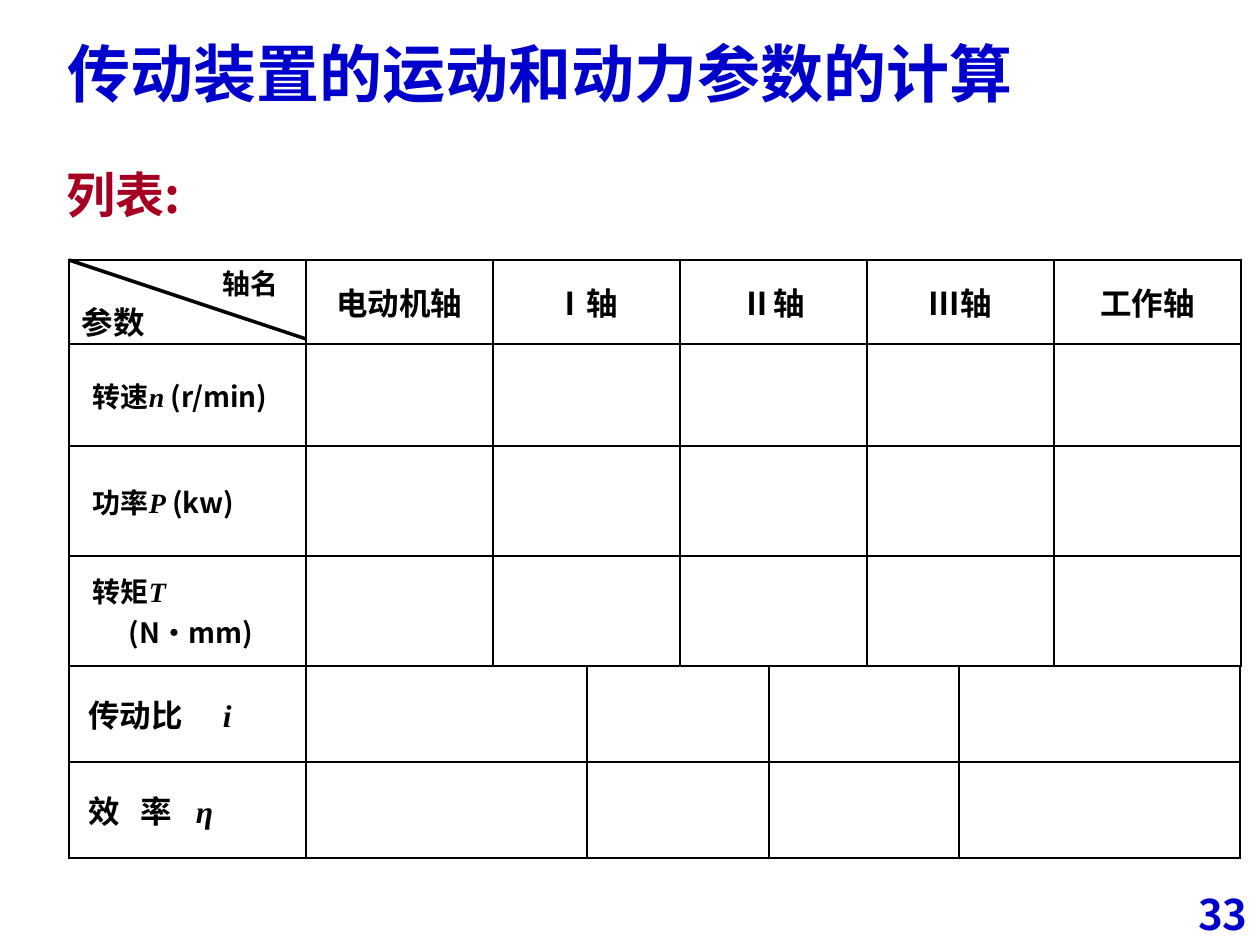
from lxml import etree
from pptx import Presentation
from pptx.dml.color import RGBColor
from pptx.enum.shapes import MSO_CONNECTOR
from pptx.enum.text import MSO_ANCHOR, MSO_AUTO_SIZE, PP_ALIGN
from pptx.oxml.ns import qn
from pptx.util import Pt

EMU_PER_PX = 914400 / 126
SANS, SERIF = "Noto Sans CJK SC", "Times New Roman"
BLUE, RED, BLACK, WHITE = "0000CC", "A50021", "000000", "FFFFFF"
LEFT, CENTER, RIGHT = PP_ALIGN.LEFT, PP_ALIGN.CENTER, PP_ALIGN.RIGHT
MIDDLE, TOP, BOTTOM = MSO_ANCHOR.MIDDLE, MSO_ANCHOR.TOP, MSO_ANCHOR.BOTTOM
NO_AUTOFIT = MSO_AUTO_SIZE.NONE
STRAIGHT = MSO_CONNECTOR.STRAIGHT


def px(length):
    return round(length * EMU_PER_PX)


def rgb(color):
    return RGBColor.from_string(color)


def style_run(run, size, color=BLACK, font=SANS, italic=False):
    run.font.size = Pt(size)
    run.font.bold = True
    run.font.italic = italic
    run.font.color.rgb = rgb(color)
    run.font.name = font
    etree.SubElement(run._r.get_or_add_rPr(), qn("a:ea"), typeface=font)


def write(paragraph, text, size, color=BLACK, align=LEFT):
    paragraph.text = text
    paragraph.alignment = align
    for run in paragraph.runs:
        style_run(run, size, color)


def write_quantity(paragraph, name, symbol, unit, size):
    for text, is_symbol in ((name, False), (symbol, True), (unit, False)):
        if text:
            run = paragraph.add_run()
            run.text = text
            style_run(run, size, font=SERIF if is_symbol else SANS,
                      italic=is_symbol)


def set_frame(frame, anchor):
    frame.word_wrap = True
    frame.auto_size = NO_AUTOFIT
    frame.vertical_anchor = anchor


def add_title(slide, left, top, width, height):
    title = slide.shapes.title
    title.left, title.top = px(left), px(top)
    title.width, title.height = px(width), px(height)
    set_frame(title.text_frame, BOTTOM)
    paragraph = title.text_frame.paragraphs[0]
    write(paragraph, "传动装置的运动和动力参数的计算", 36, BLUE)
    paragraph.line_spacing = 1.0
    paragraph.space_before = Pt(0)


def add_label(slide, box, text, size, color, align, anchor, spacing=1.0):
    label = slide.shapes.add_textbox(*map(px, box))
    set_frame(label.text_frame, anchor)
    paragraph = label.text_frame.paragraphs[0]
    write(paragraph, text, size, color, align)
    paragraph.line_spacing = spacing


def format_cell(cell):
    cell.vertical_anchor = MIDDLE
    properties = cell._tc.get_or_add_tcPr()
    for side in ("a:lnL", "a:lnR", "a:lnT", "a:lnB"):
        border = etree.SubElement(properties, qn(side), w=str(Pt(1)))
        fill = etree.SubElement(border, qn("a:solidFill"))
        etree.SubElement(fill, qn("a:srgbClr"), val=BLACK)
    cell.fill.solid()
    cell.fill.fore_color.rgb = rgb(WHITE)


def add_grid(slide, left, top, widths, heights):
    frame = slide.shapes.add_table(
        len(heights), len(widths), px(left), px(top),
        px(sum(widths)), px(sum(heights)))
    table = frame.table
    table.first_row = table.horz_banding = False
    for column, width in zip(table.columns, widths):
        column.width = px(width)
    for row, height in zip(table.rows, heights):
        row.height = px(height)
    for cell in table.iter_cells():
        format_cell(cell)
    return table


def add_shaft_table(slide, left, top, widths, heights):
    table = add_grid(slide, left, top, widths, heights)

    # Corner cell, split by a diagonal
    corner = table.cell(0, 0)
    corner.margin_top, corner.margin_bottom = px(5), 0
    corner.margin_right = px(28)
    shaft = corner.text_frame.paragraphs[0]
    parameter = corner.text_frame.add_paragraph()
    write(shaft, "轴名", 16, align=RIGHT)
    write(parameter, "参数", 18)
    shaft.line_spacing = parameter.line_spacing = 0.9
    diagonal = slide.shapes.add_connector(
        STRAIGHT, px(left), px(top), px(left + widths[0]), px(top + 79))
    diagonal.line.color.rgb = rgb(BLACK)
    diagonal.line.width = Pt(2)
    etree.SubElement(diagonal._element.spPr, qn("a:effectLst"))

    # Shaft names
    shafts = ("电动机轴", "Ⅰ轴", "Ⅱ轴", "Ⅲ轴", "工作轴")
    for column, name in enumerate(shafts, 1):
        write(table.cell(0, column).text_frame.paragraphs[0], name, 18,
              align=CENTER)

    # Quantities, with a hanging indent for the wrapped unit
    quantities = (("转速", "n", " (r/min)"), ("功率", "P", " (kw)"),
                  ("转矩", "T", " (N·mm)"))
    for row, quantity in enumerate(quantities, 1):
        cell = table.cell(row, 0)
        cell.margin_left = px(24)
        paragraph = cell.text_frame.paragraphs[0]
        indent = paragraph._p.get_or_add_pPr()
        indent.set("marL", str(px(36)))
        indent.set("indent", str(-px(36)))
        write_quantity(paragraph, *quantity, 16)


def add_ratio_table(slide, left, top, widths, heights):
    table = add_grid(slide, left, top, widths, heights)
    quantities = (("传动比\t", "i", (135,)), ("效\t率\t", "η", (53, 108)))
    for row, (name, symbol, stops) in enumerate(quantities):
        cell = table.cell(row, 0)
        cell.margin_left = px(19)
        paragraph = cell.text_frame.paragraphs[0]
        tabs = etree.SubElement(paragraph._p.get_or_add_pPr(), qn("a:tabLst"))
        for stop in stops:
            etree.SubElement(tabs, qn("a:tab"), pos=str(px(stop)), algn="l")
        write_quantity(paragraph, name, symbol, "", 18)


def main():
    deck = Presentation()
    deck.slide_width, deck.slide_height = px(1260), px(945)
    slide = deck.slides.add_slide(deck.slide_layouts[5])

    add_label(slide, (1155, 882, 105, 63), "33", 24, BLUE, RIGHT, BOTTOM)
    add_title(slide, 55, 32, 1162, 84)
    add_label(slide, (54, 165, 360, 66), "列表:", 28, RED, LEFT, TOP, 0.9)

    table_left, table_top, label_width = 69, 260, 237
    shaft_rows = [84, 102, 110, 110]
    add_shaft_table(slide, table_left, table_top,
                    [label_width] + [187] * 5, shaft_rows)
    add_ratio_table(slide, table_left, table_top + sum(shaft_rows),
                    [label_width, 281, 182, 190, 281], [96, 96])

    deck.save("out.pptx")


if __name__ == "__main__":
    main()
